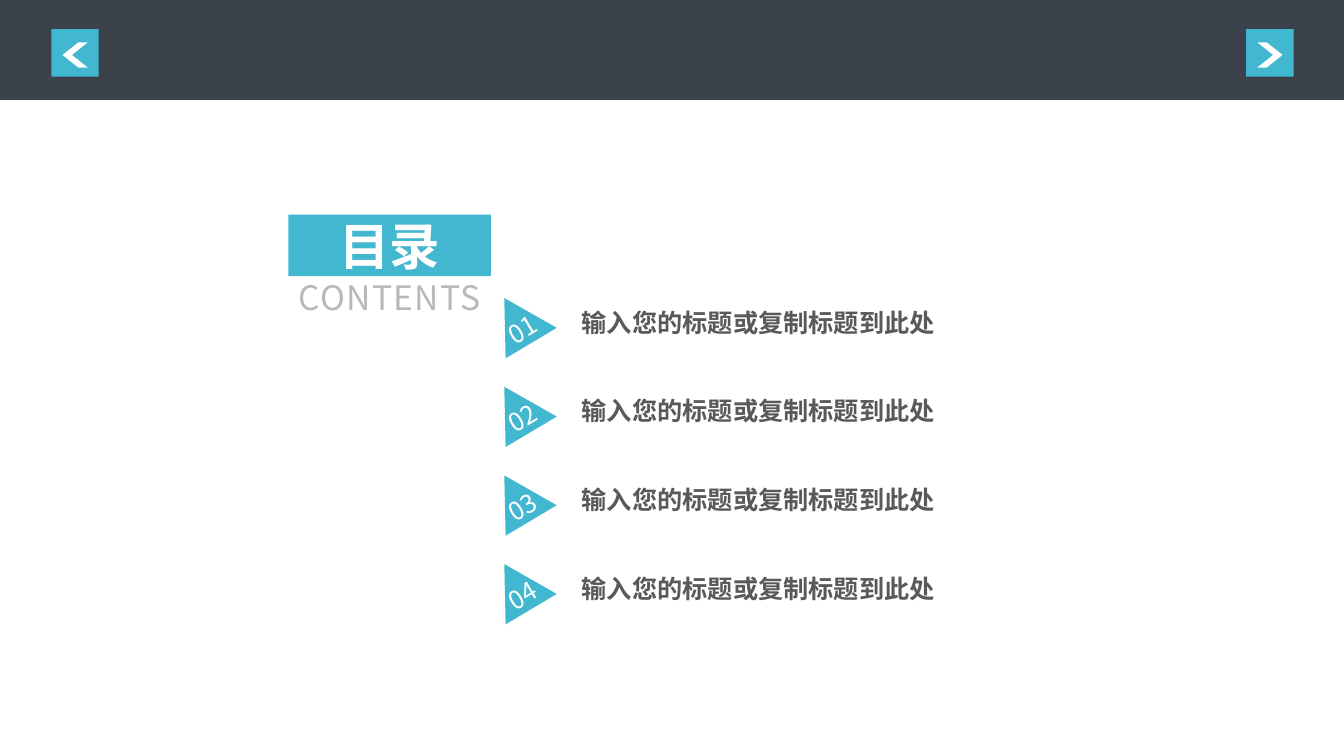
from lxml.etree import SubElement
from pptx import Presentation
from pptx.dml.color import RGBColor
from pptx.enum.shapes import MSO_SHAPE as SHAPE
from pptx.enum.text import MSO_ANCHOR as ANCHOR, PP_ALIGN as ALIGN
from pptx.oxml.ns import qn
from pptx.util import Inches, Pt

TEAL = RGBColor(0x41, 0xB7, 0xD0)
SLATE = RGBColor(0x3B, 0x42, 0x4B)
WHITE = RGBColor(0xFF, 0xFF, 0xFF)
SILVER = RGBColor(0xB8, 0xB8, 0xB8)
GRAY = RGBColor(0x59, 0x59, 0x59)

ENTRIES = ["输入您的标题或复制标题到此处"] * 4
PITCH = 0.88


class Deck:
    font = "Noto Sans CJK SC"

    def __init__(self, slide):
        self.s = slide

    def set_text(self, sp, text, size, color, bold=False, align=ALIGN.CENTER,
                 anchor=ANCHOR.MIDDLE, top=0, spacing=0):
        tf = sp.text_frame
        tf.word_wrap = True
        tf.vertical_anchor = anchor
        tf.margin_left = tf.margin_right = tf.margin_bottom = 0
        tf.margin_top = Inches(top)
        p = tf.paragraphs[0]
        p.alignment = align
        r = p.add_run()
        r.text = text
        r.font.size = Pt(size)
        r.font.bold = bold
        r.font.color.rgb = color
        r.font.name = self.font
        rpr = r._r.get_or_add_rPr()
        SubElement(rpr, qn("a:ea")).set("typeface", self.font)
        if spacing:
            rpr.set("spc", str(spacing * 100))

    def paint(self, sp, fill):
        sp.shadow.inherit = False
        sp.fill.solid()
        sp.fill.fore_color.rgb = fill
        sp.line.fill.background()
        return sp

    def shape(self, kind, x, y, w, h, fill):
        box = map(Inches, (x, y, w, h))
        return self.paint(self.s.shapes.add_shape(kind, *box), fill)

    def text(self, x, y, w, h, text, size, color, **fmt):
        sp = self.s.shapes.add_textbox(*map(Inches, (x, y, w, h)))
        self.set_text(sp, text, size, color, **fmt)

    def marker(self, x, y, w, h, label):
        fb = self.s.shapes.build_freeform(Inches(x + w / 2), Inches(y))
        fb.add_line_segments([(Inches(x + w), Inches(y + h)),
                              (Inches(x), Inches(y + h))])
        sp = self.paint(fb.convert_to_shape(), TEAL)
        sp.rotation = 329.2
        self.set_text(sp, label, 18, WHITE, top=0.2)

    def nav_button(self, x, rotation):
        self.shape(SHAPE.RECTANGLE, x, 0.29, 0.47, 0.47, TEAL)
        sp = self.shape(SHAPE.CHEVRON, x + 0.11, 0.42, 0.25, 0.25, WHITE)
        sp.adjustments[0] = 0.627
        sp.rotation = rotation


def main():
    prs = Presentation()
    prs.slide_width, prs.slide_height = Inches(13.33), Inches(7.5)
    deck = Deck(prs.slides.add_slide(prs.slide_layouts[6]))

    title = deck.shape(SHAPE.RECTANGLE, 2.86, 2.13, 2.01, 0.61, TEAL)
    deck.set_text(title, "目录", 36, WHITE, bold=True)
    deck.text(2.86, 2.75, 2.01, 0.54, "CONTENTS", 24, SILVER,
              anchor=ANCHOR.TOP, spacing=1)

    for i, entry in enumerate(ENTRIES):
        y = 2.92 + i * PITCH
        deck.text(5.77, y + 0.03, 4.05, 0.49, entry, 18, GRAY,
                  bold=True, align=ALIGN.LEFT)
        deck.marker(4.84, y, 0.59, 0.52, f"{i + 1:02}")

    deck.shape(SHAPE.RECTANGLE, 0, 0, 13.33, 0.99, SLATE)
    deck.nav_button(0.51, 180)
    deck.nav_button(12.36, 0)

    prs.save("out.pptx")


if __name__ == "__main__":
    main()
